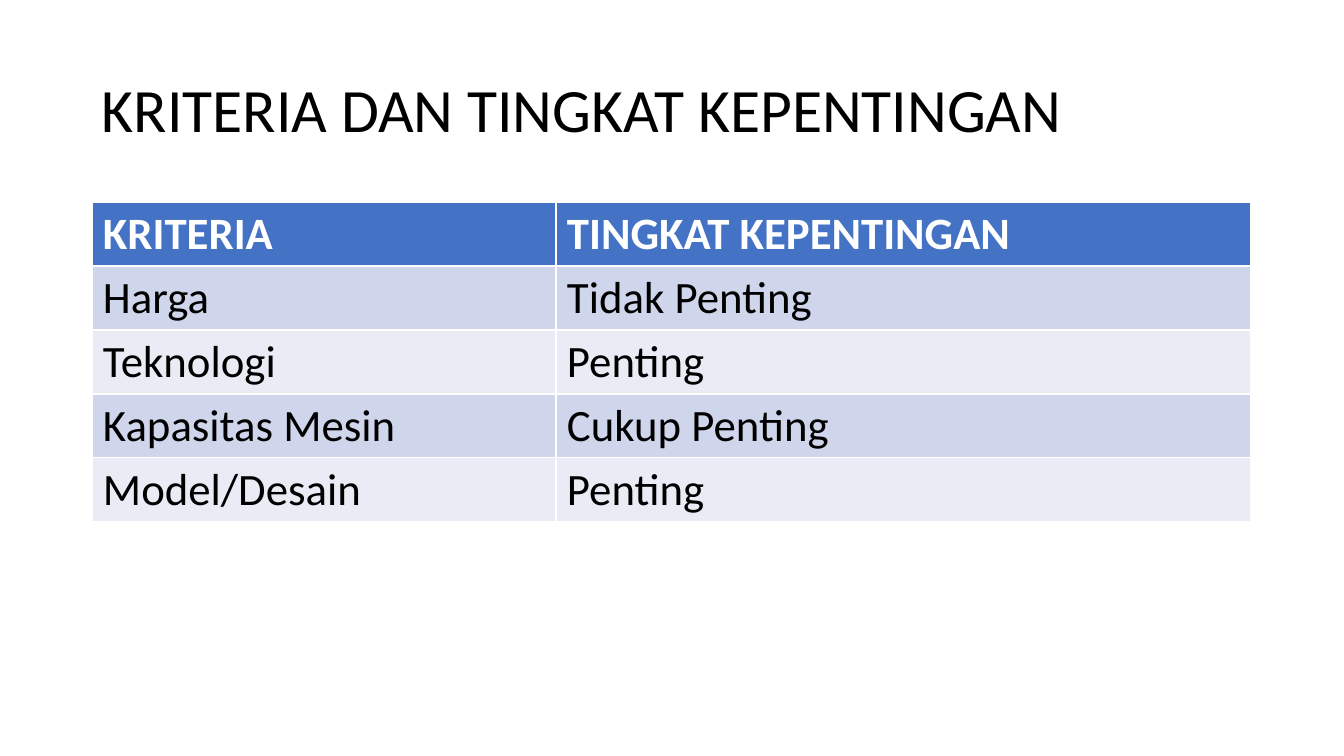
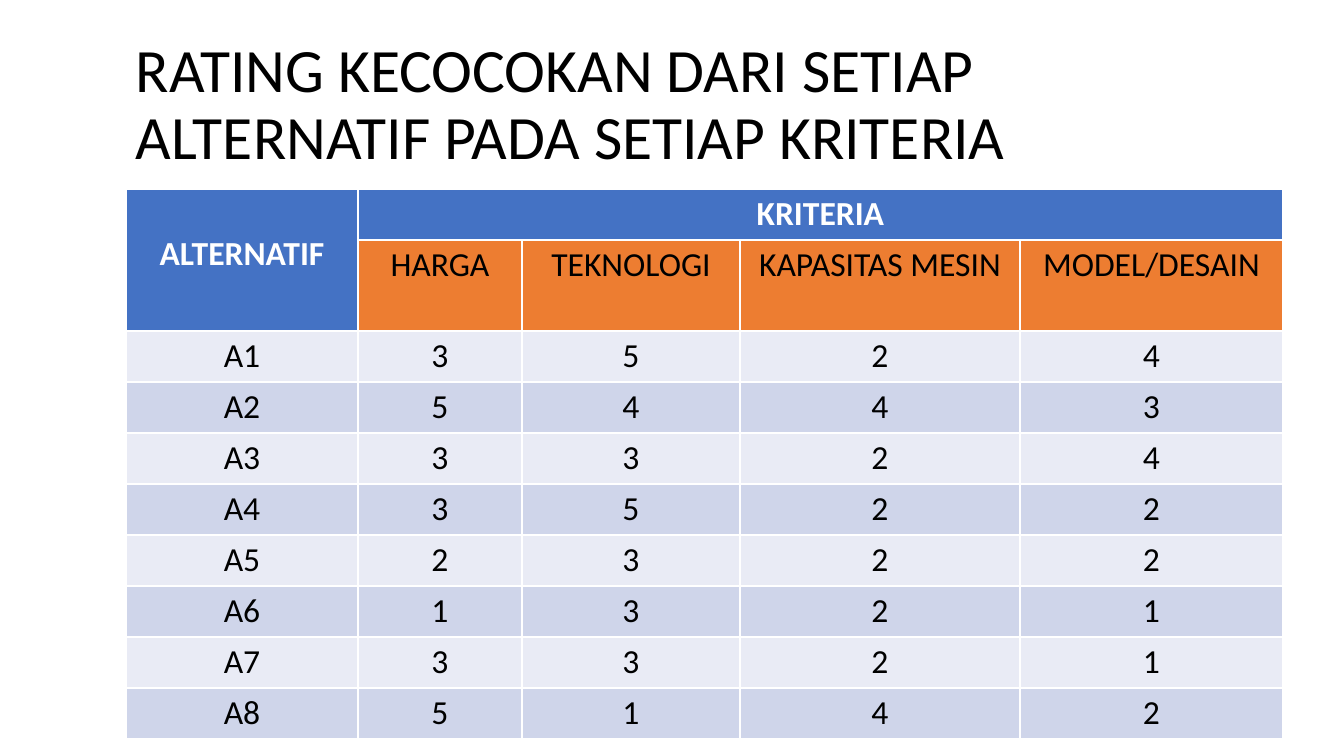
"""Build two slides of criteria and rating tables."""
from dataclasses import dataclass

import pptx
import pptx.dml.color
import pptx.enum.text
import pptx.slide
import pptx.table
import pptx.text.text
import pptx.util

SCALE = 914400 / 100.8
FONT = "Calibri"
HUES = {
    "black": "000000",
    "white": "FFFFFF",
    "head": "4472C4",
    "sub": "ED7D31",
    "dark": "CFD5EA",
    "light": "E9EBF5",
}
ALIGN = pptx.enum.text.PP_ALIGN


@dataclass(frozen=True)
class Box:
    left: int
    top: int
    width: int
    height: int


@dataclass(frozen=True)
class Merge:
    first: tuple[int, int]
    last: tuple[int, int]
    drop: int = 5


@dataclass(frozen=True)
class Page:
    title: str
    frame: Box
    left: int
    top: int
    cols: tuple[int, ...]
    rows: tuple[int, ...]
    cells: tuple[tuple[str, ...], ...]
    size: int
    inset: int
    align: ALIGN
    merges: tuple[Merge, ...] = ()


PAGES = (
    Page(
        title="KRITERIA DAN TINGKAT KEPENTINGAN",
        frame=Box(92, 40, 1159, 146),
        left=92,
        top=202,
        cols=(464, 695),
        rows=(64,) * 5,
        cells=(
            ("KRITERIA", "TINGKAT KEPENTINGAN"),
            ("Harga", "Tidak Penting"),
            ("Teknologi", "Penting"),
            ("Kapasitas Mesin", "Cukup Penting"),
            ("Model/Desain", "Penting"),
        ),
        size=32,
        inset=11,
        align=ALIGN.LEFT,
    ),
    Page(
        title="RATING KECOCOKAN DARI SETIAP ALTERNATIF PADA SETIAP KRITERIA",
        frame=Box(126, 23, 1092, 166),
        left=126,
        top=189,
        cols=(232, 164, 218, 280, 263),
        rows=(51, 91) + (51,) * 8,
        cells=(
            ("ALTERNATIF", "KRITERIA", "", "", ""),
            ("", "HARGA", "TEKNOLOGI", "KAPASITAS MESIN", "MODEL/DESAIN"),
            ("A1", "3", "5", "2", "4"),
            ("A2", "5", "4", "4", "3"),
            ("A3", "3", "3", "2", "4"),
            ("A4", "3", "5", "2", "2"),
            ("A5", "2", "3", "2", "2"),
            ("A6", "1", "3", "2", "1"),
            ("A7", "3", "3", "2", "1"),
            ("A8", "5", "1", "4", "2"),
        ),
        size=24,
        inset=10,
        align=ALIGN.CENTER,
        merges=(Merge((0, 0), (1, 0), drop=45), Merge((0, 1), (0, 4))),
    ),
)


def px(count: int) -> pptx.util.Emu:
    return pptx.util.Emu(round(count * SCALE))


def hue(name: str) -> pptx.dml.color.RGBColor:
    return pptx.dml.color.RGBColor.from_string(HUES[name])


def style(line: pptx.text.text._Paragraph, size: int, tone: str, bold: bool = False) -> None:
    line.font.name = FONT
    line.font.size = pptx.util.Pt(size)
    line.font.bold = bold
    line.font.color.rgb = hue(tone)


def add_title(slide: pptx.slide.Slide, page: Page) -> None:
    box = page.frame
    text = slide.shapes.add_textbox(
        px(box.left), px(box.top), px(box.width), px(box.height)
    ).text_frame
    text.word_wrap = True
    text.vertical_anchor = pptx.enum.text.MSO_ANCHOR.MIDDLE
    text.text = page.title
    line = text.paragraphs[0]
    line.line_spacing = 0.9
    style(line, 44, "black")


def row_fill(row: int, page: Page) -> str:
    if row == 0:
        return "head"
    if row == 1 and page.merges:
        return "sub"
    return "dark" if row % 2 else "light"


def fill_cell(cell: pptx.table._Cell, text: str, row: int, page: Page) -> None:
    cell.fill.solid()
    cell.fill.fore_color.rgb = hue(row_fill(row, page))
    cell.margin_left = cell.margin_right = px(page.inset)
    cell.text = text
    line = cell.text_frame.paragraphs[0]
    line.alignment = page.align
    style(line, page.size, "black" if row else "white", bold=row == 0)


def add_grid(slide: pptx.slide.Slide, page: Page) -> None:
    grid = slide.shapes.add_table(
        len(page.rows), len(page.cols), px(page.left), px(page.top),
        px(sum(page.cols)), px(sum(page.rows)),
    ).table
    for col, width in zip(grid.columns, page.cols):
        col.width = px(width)
    for row, height in zip(grid.rows, page.rows):
        row.height = px(height)
    for row, texts in enumerate(page.cells):
        for col, text in enumerate(texts):
            fill_cell(grid.cell(row, col), text, row, page)
    for merge in page.merges:
        first = grid.cell(*merge.first)
        first.merge(grid.cell(*merge.last))
        first.margin_top = px(merge.drop)


def main() -> None:
    deck = pptx.Presentation()
    deck.slide_width, deck.slide_height = px(1344), px(756)
    for page in PAGES:
        slide = deck.slides.add_slide(deck.slide_layouts[6])
        add_title(slide, page)
        add_grid(slide, page)
    deck.save("out.pptx")


if __name__ == "__main__":
    main()
